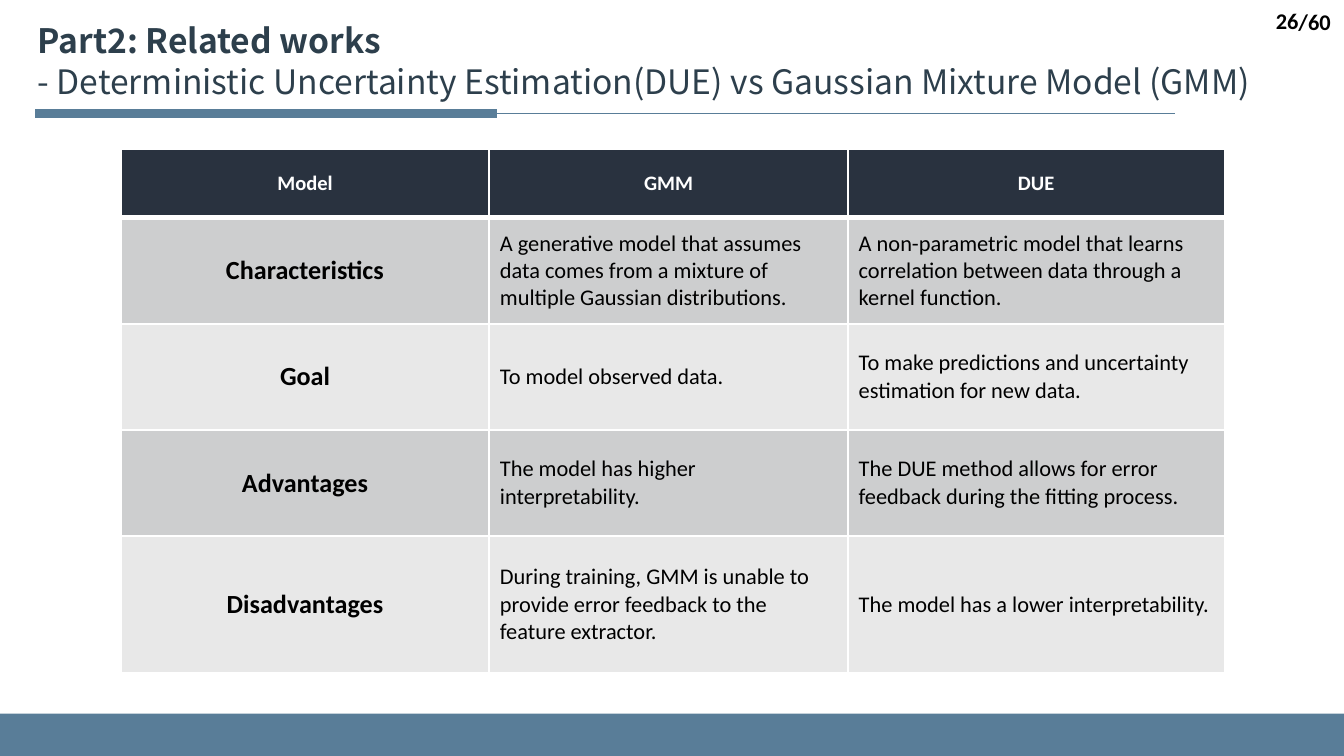
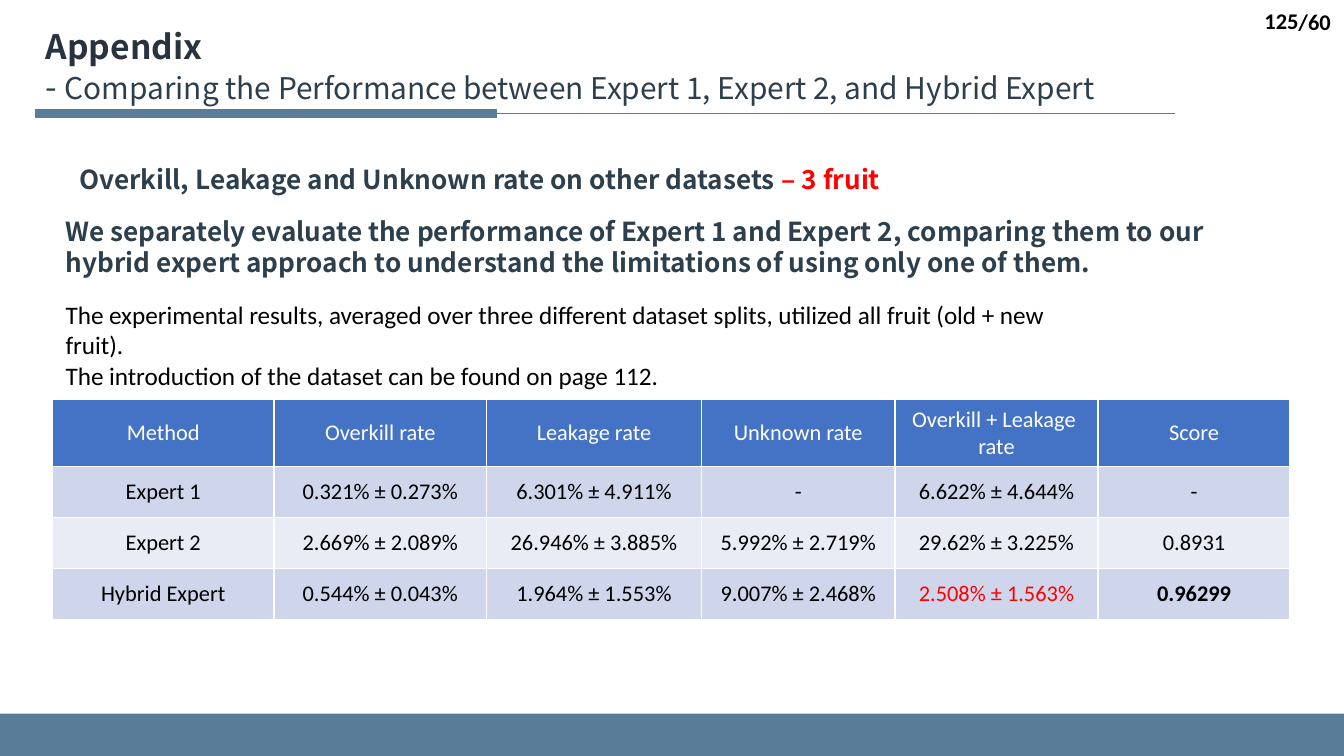
from dataclasses import dataclass
from typing import Any

from lxml.etree import Element, SubElement
from pptx import Presentation
from pptx.dml.color import RGBColor
from pptx.enum.shapes import MSO_CONNECTOR, MSO_SHAPE
from pptx.enum.text import MSO_ANCHOR, MSO_AUTO_SIZE, PP_ALIGN
from pptx.oxml.ns import qn
from pptx.util import Inches, Pt

BLUE = "597D98"
SLATE = "2D3F4C"
NAVY = "29323F"
BLACK = "000000"
WHITE = "FFFFFF"
RED = "FF0000"
HEADING_FONT = "Noto Sans CJK SC"
BODY_FONT = "Calibri"
PAGE_TOTAL = 60
SLIDE_WIDTH = 10
SLIDE_HEIGHT = SLIDE_WIDTH * 9 / 16
BAND_TOP = 5.31
RULE_LEFT, RULE_RIGHT = 0.27, 8.74
ACCENT_TOP, ACCENT_WIDTH, ACCENT_HEIGHT = 0.82, 3.42, 0.05


@dataclass(frozen=True)
class Run:
    text: str
    size: float = 12
    color: str = BLACK
    bold: bool = False
    font: str = BODY_FONT


@dataclass(frozen=True)
class Box:
    left: float
    top: float
    width: float
    height: float


@dataclass(frozen=True)
class TextBlock:
    box: Box
    paragraphs: list[list[Run]]
    align: PP_ALIGN = PP_ALIGN.LEFT
    anchor: MSO_ANCHOR = MSO_ANCHOR.TOP


@dataclass(frozen=True)
class TableStyle:
    header_fill: str
    row_fills: tuple[str, str]
    margin_x: float
    margin_y: float
    header_rule: float


@dataclass(frozen=True)
class TableBlock:
    box: Box
    columns: list[float]
    rows: list[float]
    cells: list[list[Run]]
    aligns: list[PP_ALIGN]
    style: TableStyle


@dataclass(frozen=True)
class Page:
    number: int
    title_box: Box
    title_lines: list[list[Run]]
    title_wraps: bool
    texts: list[TextBlock]
    table: TableBlock


def rgb(value: str) -> RGBColor:
    return RGBColor.from_string(value)


def lengths(box: Box) -> list[int]:
    return [Inches(value) for value in (box.left, box.top, box.width, box.height)]


def apply(target: Any, values: dict[str, Any]) -> None:
    for name, value in values.items():
        setattr(target, name, value)


def add_run(paragraph: Any, content: Run) -> None:
    run = paragraph.add_run()
    run.text = content.text
    apply(run.font, {"size": Pt(content.size), "bold": content.bold, "name": content.font})
    run.font.color.rgb = rgb(content.color)


def fill_paragraphs(frame: Any, paragraphs: list[list[Run]], align: PP_ALIGN) -> None:
    for index, runs in enumerate(paragraphs):
        paragraph = frame.paragraphs[0] if index == 0 else frame.add_paragraph()
        paragraph.alignment = align
        for content in runs:
            add_run(paragraph, content)


def add_text(slide: Any, block: TextBlock) -> None:
    frame = slide.shapes.add_textbox(*lengths(block.box)).text_frame
    apply(frame, {"word_wrap": True, "vertical_anchor": block.anchor})
    fill_paragraphs(frame, block.paragraphs, block.align)


def add_title(slide: Any, page: Page) -> None:
    title = slide.shapes.title
    apply(title, dict(zip(("left", "top", "width", "height"), lengths(page.title_box))))
    frame = title.text_frame
    apply(frame, {
        "word_wrap": page.title_wraps,
        "auto_size": MSO_AUTO_SIZE.NONE,
        "vertical_anchor": MSO_ANCHOR.TOP,
    })
    paragraph = frame.paragraphs[0]
    paragraph.alignment = PP_ALIGN.LEFT
    for index, runs in enumerate(page.title_lines):
        if index:
            paragraph.add_line_break()
        for content in runs:
            add_run(paragraph, content)


def add_bar(slide: Any, box: Box) -> Any:
    shape = slide.shapes.add_shape(MSO_SHAPE.RECTANGLE, *lengths(box))
    shape.shadow.inherit = False
    shape.fill.solid()
    shape.fill.fore_color.rgb = rgb(BLUE)
    shape.line.fill.background()
    return shape


def add_frame(slide: Any) -> None:
    add_bar(slide, Box(0, BAND_TOP, SLIDE_WIDTH, SLIDE_HEIGHT - BAND_TOP))
    middle = Inches(ACCENT_TOP + ACCENT_HEIGHT / 2)
    rule = slide.shapes.add_connector(
        MSO_CONNECTOR.STRAIGHT, Inches(RULE_RIGHT), middle, Inches(RULE_LEFT), middle)
    rule.line.color.rgb = rgb(BLUE)
    rule.line.width = Pt(0.5)
    SubElement(rule._element.spPr, qn("a:effectLst"))
    accent = add_bar(slide, Box(RULE_LEFT, ACCENT_TOP, ACCENT_WIDTH, ACCENT_HEIGHT))
    accent.line.color.rgb = rgb(BLUE)
    accent.line.width = Pt(1)
    SubElement(accent._element.spPr.find(qn("a:ln")), qn("a:miter"), lim="800000")
    rule.end_connect(accent, 1)


def add_page_number(slide: Any, number: int) -> None:
    for box, text in (
        (Box(9.54, 0.01, 0.46, 0.3), f"/{PAGE_TOTAL}"),
        (Box(7.75, 0, 2.01, 0.31), str(number)),
    ):
        add_text(slide, TextBlock(
            box, [[Run(text, bold=True)]], PP_ALIGN.RIGHT, MSO_ANCHOR.MIDDLE))


def add_bottom_border(cell: Any, width: float) -> None:
    border = Element(qn("a:lnB"), w=str(Pt(width)))
    fill = SubElement(border, qn("a:solidFill"))
    SubElement(fill, qn("a:srgbClr"), val=WHITE)
    cell._tc.get_or_add_tcPr().insert(0, border)


def add_table(slide: Any, block: TableBlock) -> None:
    table = slide.shapes.add_table(
        len(block.rows), len(block.columns), *lengths(block.box)).table
    for column, width in zip(table.columns, block.columns):
        column.width = Inches(width)
    for row, height in zip(table.rows, block.rows):
        row.height = Inches(height)
    style = block.style
    margins = {
        "margin_left": Inches(style.margin_x),
        "margin_right": Inches(style.margin_x),
        "margin_top": Inches(style.margin_y),
        "margin_bottom": Inches(style.margin_y),
        "vertical_anchor": MSO_ANCHOR.MIDDLE,
    }
    for row_index, contents in enumerate(block.cells):
        fill = style.row_fills[(row_index - 1) % 2] if row_index else style.header_fill
        for column_index, content in enumerate(contents):
            cell = table.cell(row_index, column_index)
            apply(cell, margins)
            cell.fill.solid()
            cell.fill.fore_color.rgb = rgb(fill)
            if row_index == 0:
                add_bottom_border(cell, style.header_rule)
            align = block.aligns[column_index] if row_index else PP_ALIGN.CENTER
            lines = [
                [Run(line, content.size, content.color, content.bold)]
                for line in content.text.split("\n")
            ]
            fill_paragraphs(cell.text_frame, lines, align)


def heading(text: str, size: float = 18, bold: bool = True, color: str = SLATE) -> Run:
    return Run(text, size, color, bold, HEADING_FONT)


def model_table() -> TableBlock:
    comparison = [
        ("Characteristics",
         "A generative model that assumes data comes from a mixture of multiple Gaussian distributions.",
         "A non-parametric model that learns correlation between data through a kernel function."),
        ("Goal",
         "To model observed data.",
         "To make predictions and uncertainty estimation for new data."),
        ("Advantages",
         "The model has higher interpretability.",
         "The DUE method allows for error feedback during the fitting process."),
        ("Disadvantages",
         "During training, GMM is unable to provide error feedback to the feature extractor.",
         "The model has a lower interpretability."),
    ]
    cells = [[Run(name, 11, WHITE, True) for name in ("Model", "GMM", "DUE")]]
    cells += [[Run(aspect, 14, bold=True), Run(gmm), Run(due)] for aspect, gmm, due in comparison]
    return TableBlock(
        Box(0.9, 1.11, 8.21, 3.9), [2.74, 2.67, 2.8], [0.51, 0.79, 0.79, 0.79, 1.02], cells,
        [PP_ALIGN.CENTER, PP_ALIGN.LEFT, PP_ALIGN.LEFT],
        TableStyle(NAVY, ("CDCECF", "E8E8E8"), 0.08, 0.04, 3))


def score_table() -> TableBlock:
    headers = ["Method", "Overkill rate", "Leakage rate", "Unknown rate",
               "Overkill + Leakage \nrate", "Score"]
    results = [
        ["Expert 1", "0.321% ± 0.273%", "6.301% ± 4.911%", "-", "6.622% ± 4.644%", "-"],
        ["Expert 2", "2.669% ± 2.089%", "26.946% ± 3.885%", "5.992% ± 2.719%",
         "29.62% ± 3.225%", "0.8931"],
        ["Hybrid Expert", "0.544% ± 0.043%", "1.964% ± 1.553%", "9.007% ± 2.468%"],
    ]
    cells = [[Run(name, color=WHITE) for name in headers]]
    cells += [[Run(value) for value in values] for values in results]
    cells[-1] += [Run("2.508% ± 1.563%", color=RED), Run("0.96299", bold=True)]
    return TableBlock(
        Box(0.39, 2.97, 9.22, 1.64), [1.65, 1.58, 1.6, 1.44, 1.51, 1.43], [0.38] * 4, cells,
        [PP_ALIGN.CENTER] * 6, TableStyle("4472C4", ("CFD5EA", "E9EBF5"), 0.1, 0.05, 1))


def build_pages() -> list[Page]:
    related_works = Page(
        26, Box(0.18, 0.1, 9.76, 0.71),
        [[heading("Part2: Related works")],
         [heading("- Deterministic Uncertainty Estimation(DUE) vs Gaussian Mixture Model (GMM)",
                  bold=False)]],
        False, [], model_table())
    appendix = Page(
        125, Box(0.24, 0.14, 9.66, 0.71),
        [[heading("Appendix", color=NAVY)],
         [heading("- ", bold=False),
          heading("Comparing the Performance between Expert 1, Expert 2, and Hybrid Expert",
                  16, False)]],
        True,
        [TextBlock(Box(0.49, 1.17, 7.42, 0.34), [[
            heading("Overkill, Leakage and Unknown rate on other datasets ", 14),
            heading("– 3 fruit", 14, color=RED)]]),
         TextBlock(Box(0.39, 1.55, 8.88, 0.57), [[heading(
             "We separately evaluate the performance of Expert 1 and Expert 2, comparing them to "
             "our hybrid expert approach to understand the limitations of using only one of them.",
             14)]]),
         TextBlock(Box(0.39, 2.18, 7.86, 0.56), [
             [Run("The experimental results, averaged over three different dataset splits, "
                  "utilized all fruit (old + new fruit).", 13.5)],
             [Run("The introduction of the dataset can be found on page 112.", 13.5)]])],
        score_table())
    return [related_works, appendix]


def main() -> None:
    presentation = Presentation()
    presentation.slide_width = Inches(SLIDE_WIDTH)
    presentation.slide_height = Inches(SLIDE_HEIGHT)
    for page in build_pages():
        slide = presentation.slides.add_slide(presentation.slide_layouts[5])
        add_frame(slide)
        add_title(slide, page)
        for block in page.texts:
            add_text(slide, block)
        add_page_number(slide, page.number)
        add_table(slide, page.table)
    presentation.save("out.pptx")


if __name__ == "__main__":
    main()
